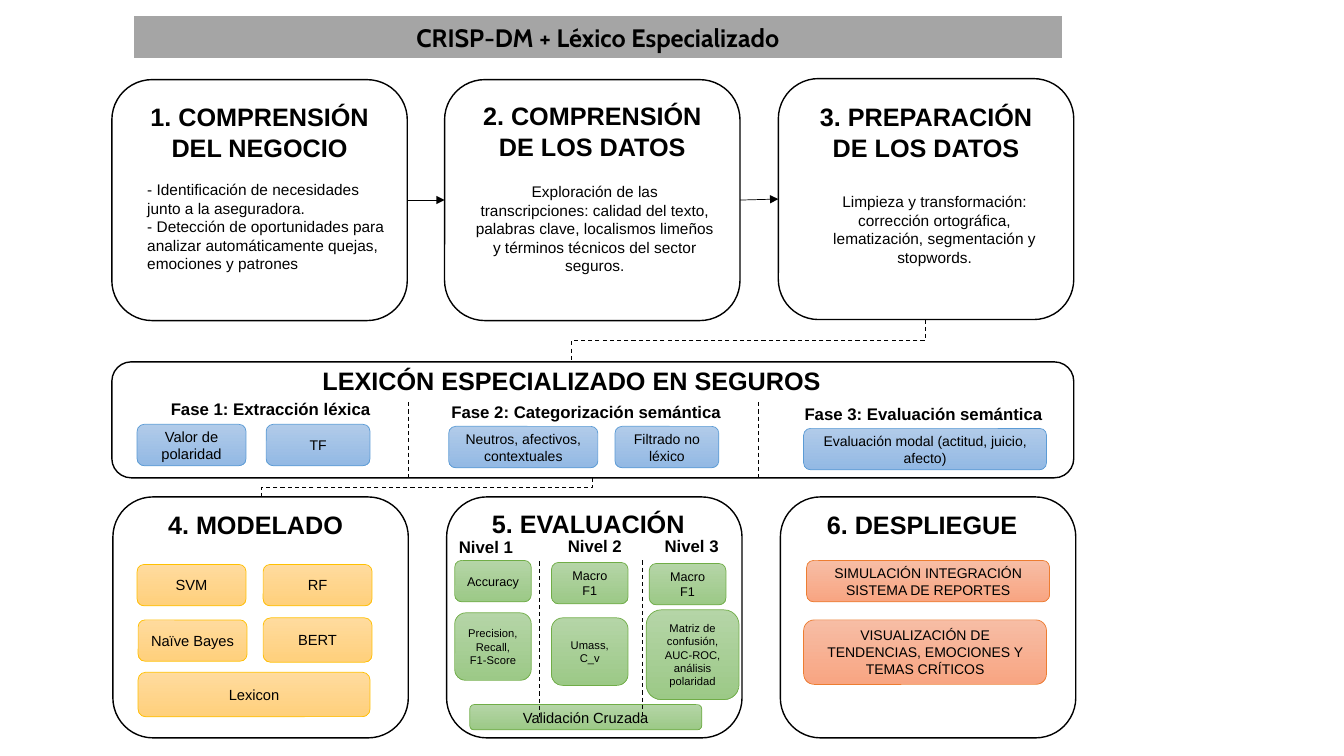
import lxml.etree
import pptx
import pptx.dml.color
import pptx.enum.dml
import pptx.enum.shapes
import pptx.enum.text
import pptx.oxml.ns
import pptx.util

PX = 9144  # 100 px to the inch
qn = pptx.oxml.ns.qn
ROUND = pptx.enum.shapes.MSO_SHAPE.ROUNDED_RECTANGLE
CONNECTOR = pptx.enum.shapes.MSO_CONNECTOR
ALIGN = pptx.enum.text.PP_ALIGN
ANCHOR = pptx.enum.text.MSO_ANCHOR
AUTO = pptx.enum.text.MSO_AUTO_SIZE
DASH = pptx.enum.dml.MSO_LINE.DASH


def color(text):
    return pptx.dml.color.RGBColor.from_string(text)


def write(sp, text, size, bold=False, name="Arial", align=ALIGN.CENTER,
          anchor=ANCHOR.TOP, auto_size=AUTO.SHAPE_TO_FIT_TEXT):
    """Fill a shape's text frame, one paragraph per line of text."""
    tf = sp.text_frame
    frame = {"word_wrap": True, "vertical_anchor": anchor, "auto_size": auto_size}
    for key, value in frame.items():
        setattr(tf, key, value)
    tf.text = text
    for p in tf.paragraphs:
        layout = {"alignment": align, "line_spacing": 1.0, "space_before": 0}
        for key, value in layout.items():
            setattr(p, key, value)
        font = p.runs[0].font
        for key, value in {"size": pptx.util.Pt(size), "bold": bold, "name": name}.items():
            setattr(font, key, value)
        font.color.rgb = color("000000")


prs = pptx.Presentation()
prs.slide_width, prs.slide_height = 1333 * PX, 750 * PX
s = prs.slides.add_slide(prs.slide_layouts[1])
title, body = s.placeholders

# Title bar
for key, value in {"left": 132, "top": 15, "width": 922, "height": 44}.items():
    setattr(title, key, value * PX)
geom = lxml.etree.Element(qn("a:prstGeom"), prst="roundRect")
lxml.etree.SubElement(geom, qn("a:avLst"))
title._element.spPr.find(qn("a:xfrm")).addnext(geom)
title.fill.solid()
title.fill.fore_color.rgb = color("A5A5A5")
title.line.color.rgb = color("FFFFFF")
title.line.width = pptx.util.Pt(1.5)
write(title, "CRISP-DM + Léxico Especializado", 18, True, "Cabin",
      anchor=ANCHOR.MIDDLE, auto_size=AUTO.NONE)

# Panels: steps 1 to 3, lexicon, steps 4 to 6
panels = []
for x, y, w, h in [
    (111, 79, 293, 239), (441, 79, 293, 239), (772, 78, 293, 239),
    (111, 359, 954, 115),
    (112, 493, 293, 239), (443, 493, 293, 239), (774, 493, 293, 239),
]:
    sp = s.shapes.add_shape(ROUND, x * PX, y * PX, w * PX, h * PX)
    sp.shadow.inherit = False
    sp.fill.solid()
    sp.fill.fore_color.rgb = color("FFFFFF")
    sp.line.color.rgb = color("000000")
    sp.line.width = pptx.util.Pt(1)
    panels.append(sp)

# Headings, phase and level labels, descriptions
for x, y, w, h, text, size, bold in [
    (136, 96, 243, 71, "1. COMPRENSIÓN DEL NEGOCIO", 18, True),
    (466, 95, 243, 71, "2. COMPRENSIÓN DE LOS DATOS", 18, True),
    (797, 96, 243, 71, "3. PREPARACIÓN DE LOS DATOS", 18, True),
    (216, 358, 702, 40, "LEXICÓN ESPECIALIZADO EN SEGUROS", 18, True),
    (132, 500, 243, 40, "4. MODELADO", 18, True),
    (462, 499, 243, 40, "5. EVALUACIÓN", 18, True),
    (793, 500, 243, 40, "6. DESPLIEGUE", 18, True),
    (158, 391, 221, 30, "Fase 1: Extracción léxica", 12, True),
    (430, 394, 303, 30, "Fase 2: Categorización semántica", 12, True),
    (780, 396, 272, 30, "Fase 3: Evaluación semántica", 12, True),
    (444, 528, 76, 30, "Nivel 1", 12, True),
    (552, 527, 76, 30, "Nivel 2", 12, True),
    (648, 527, 76, 30, "Nivel 3", 12, True),
    (462, 176, 256, 121, "Exploración de las transcripciones: calidad del texto, palabras "
     "clave, localismos limeños y términos técnicos del sector seguros.", 11, False),
    (799, 186, 256, 84, "Limpieza y transformación: corrección ortográfica, "
     "lematización, segmentación y stopwords.", 11, False),
]:
    write(s.shapes.add_textbox(x * PX, y * PX, w * PX, h * PX), text, size, bold)

# List of step 1, brought in front of its panel
s.shapes._spTree.append(body._element)
for key, value in {"left": 136, "top": 174, "width": 256, "height": 121}.items():
    setattr(body, key, value * PX)
write(body, "- Identificación de necesidades junto a la aseguradora.\n"
      "- Detección de oportunidades para analizar automáticamente quejas, "
      "emociones y patrones", 11, align=ALIGN.LEFT, auto_size=AUTO.NONE)
for p in body.text_frame.paragraphs:
    pPr = p._p.get_or_add_pPr()
    pPr.set("marL", "0")
    pPr.set("indent", "0")
    lxml.etree.SubElement(pPr, qn("a:buNone"))

# Tiles: line, gradient top and bottom, then place, text and size
BLUE = ("5B9BD5", "B1CBE9", "93B9E4")
YELLOW = ("FFC000", "FFDB9E", "FFD07C")
GREEN = ("70AD47", "B5D5A7", "9CC987")
ORANGE = ("ED7D31", "F7BDA5", "F8A582")
for (edge, *shades), x, y, w, h, text, size in [
    (BLUE, 136, 421, 108, 41, "Valor de polaridad", 10.5),
    (BLUE, 264, 421, 103, 41, "TF", 10),
    (BLUE, 445, 423, 148, 41, "Neutros, afectivos, contextuales", 10),
    (BLUE, 610, 423, 103, 41, "Filtrado no léxico", 10),
    (BLUE, 797, 425, 241, 41, "Evaluación modal (actitud, juicio, afecto)", 10),
    (YELLOW, 136, 560, 108, 41, "SVM", 10.5),
    (YELLOW, 261, 560, 108, 41, "RF", 10.5),
    (YELLOW, 137, 615, 108, 41, "Naïve Bayes", 10.5),
    (YELLOW, 261, 613, 108, 44, "BERT", 10.5),
    (YELLOW, 137, 667, 230, 44, "Lexicon", 10.5),
    (GREEN, 451, 556, 76, 41, "Accuracy", 9),
    (GREEN, 547, 558, 76, 41, "Macro F1", 9),
    (GREEN, 644, 559, 76, 41, "Macro F1", 9),
    (GREEN, 451, 608, 76, 67, "Precision, Recall, F1-Score", 8),
    (GREEN, 547, 613, 76, 67, "Umass, C_v", 8),
    (GREEN, 641, 605, 92, 89, "Matriz de confusión, AUC-ROC, análisis polaridad", 8),
    (GREEN, 466, 699, 230, 25, "Validación Cruzada", 10.5),
    (ORANGE, 800, 556, 241, 41, "SIMULACIÓN INTEGRACIÓN SISTEMA DE REPORTES", 10),
    (ORANGE, 797, 615, 241, 64, "VISUALIZACIÓN DE TENDENCIAS, EMOCIONES Y TEMAS CRÍTICOS", 10),
]:
    sp = s.shapes.add_shape(ROUND, x * PX, y * PX, w * PX, h * PX)
    sp.shadow.inherit = False
    sp.fill.gradient()
    sp.fill.gradient_angle = 270
    for stop, shade in zip(sp.fill.gradient_stops, shades):
        stop.color.rgb = color(shade)
    sp.line.color.rgb = color(edge)
    sp.line.width = pptx.util.Pt(0.5)
    write(sp, text, size, anchor=ANCHOR.MIDDLE, auto_size=AUTO.NONE)

# Arrows between steps, dashed dividers, dashed elbows down to the next row
for kind, x1, y1, x2, y2 in [
    ("arrow", 404, 198, 441, 198), ("arrow", 734, 198, 772, 198),
    ("divider", 405, 399, 405, 474), ("divider", 752, 399, 752, 474),
    ("divider", 535, 557, 535, 711), ("divider", 637, 556, 637, 710),
    ("elbow", 918, 317, 567, 358), ("elbow", 588, 474, 259, 493),
]:
    route = CONNECTOR.STRAIGHT
    if kind == "elbow":  # drawn sideways, then turned to leave downwards
        route = CONNECTOR.ELBOW
        cx, cy, dx, dy = (x1 + x2) / 2, (y1 + y2) / 2, (x1 - x2) / 2, (y2 - y1) / 2
        x1, y1, x2, y2 = cx - dy, cy - dx, cx + dy, cy + dx
    c = s.shapes.add_connector(route, *(int(v * PX) for v in (x1, y1, x2, y2)))
    c.line.color.rgb = color("000000")
    c.line.width = pptx.util.Pt(0.5 if kind == "arrow" else 0.75)
    if kind == "arrow":
        step = 0 if x1 < 500 else 1
        c.begin_connect(panels[step], 3)
        c.end_connect(panels[step + 1], 1)
        lxml.etree.SubElement(c.line._get_or_add_ln(), qn("a:tailEnd"), type="triangle")
    else:
        c.line.dash_style = DASH
    if kind == "elbow":
        c._element.spPr.find(qn("a:xfrm")).set("rot", "5400000")
    lxml.etree.SubElement(c._element.spPr, qn("a:effectLst"))

prs.save("out.pptx")
